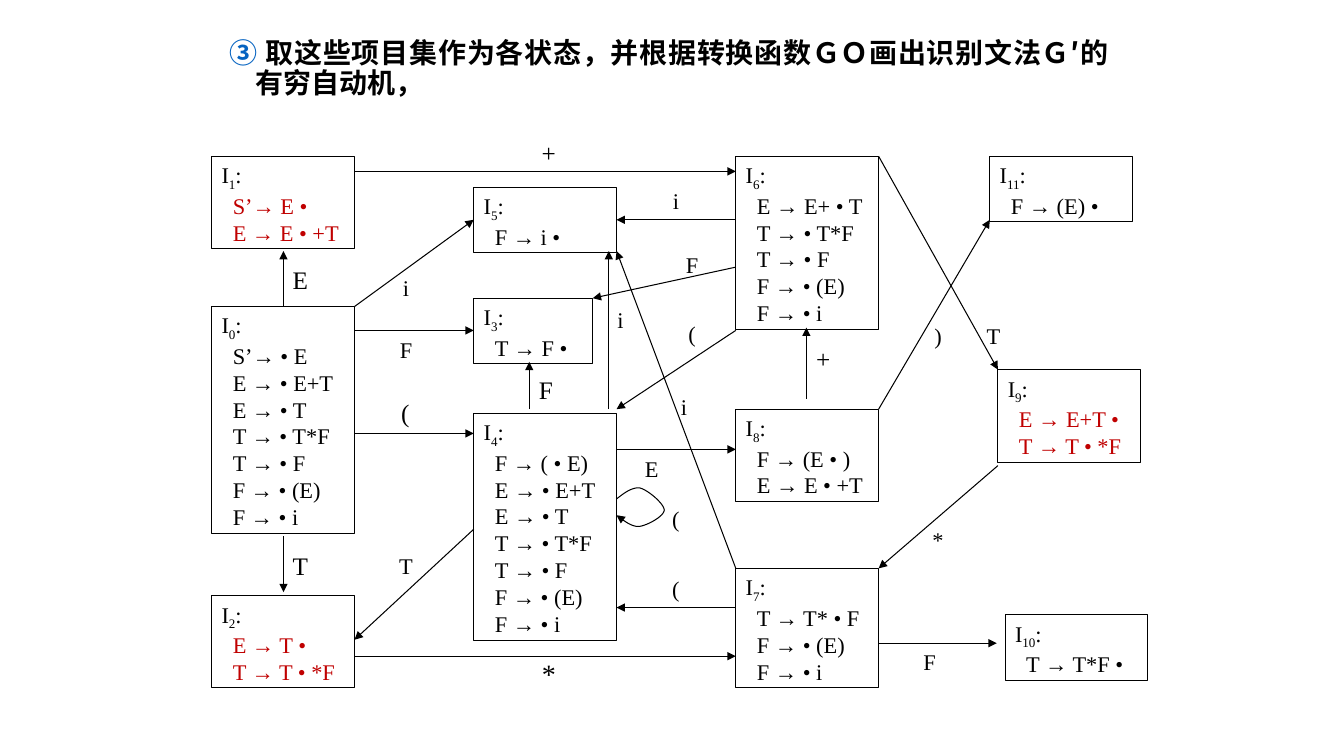
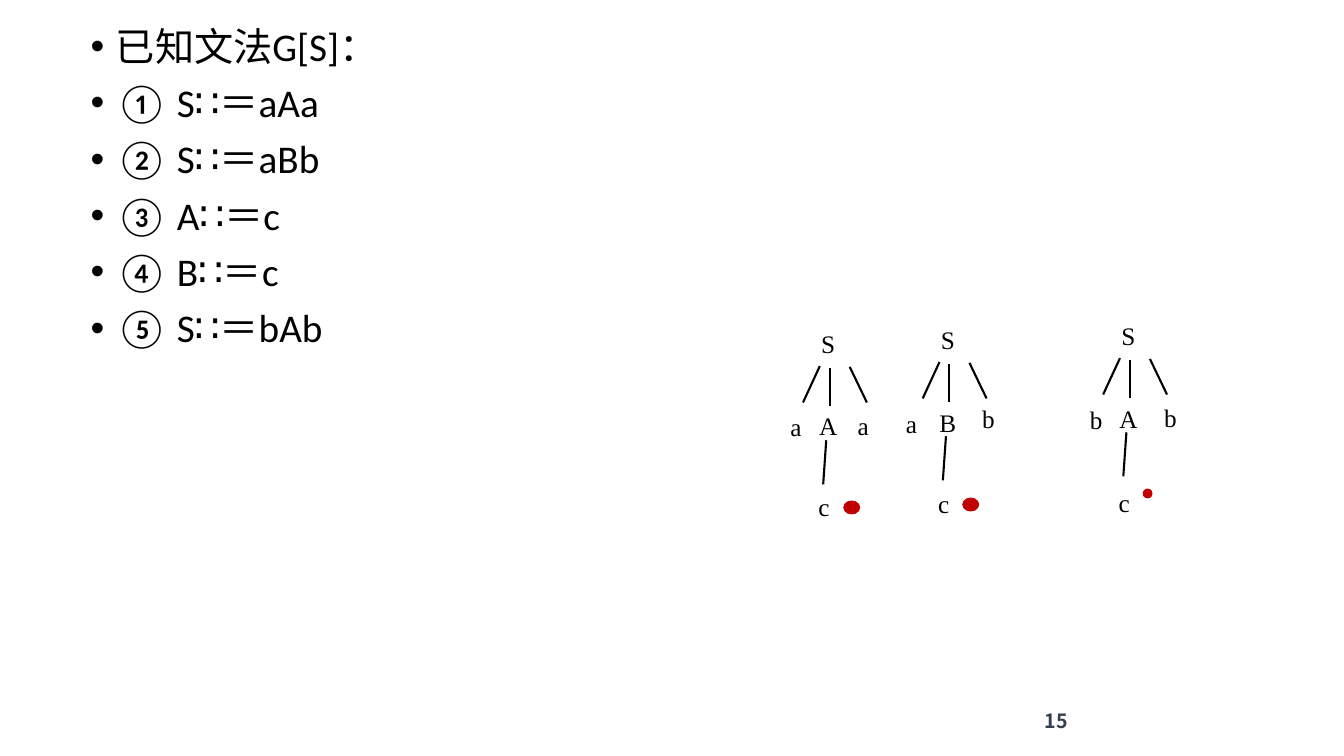
from lxml import etree
from pptx import Presentation
from pptx.dml.color import RGBColor
from pptx.enum.shapes import MSO_CONNECTOR, MSO_SHAPE
from pptx.enum.text import MSO_ANCHOR, MSO_AUTO_SIZE, PP_ALIGN
from pptx.oxml.ns import qn
from pptx.util import Pt

LINE = MSO_CONNECTOR.STRAIGHT
RECT, OVAL = MSO_SHAPE.RECTANGLE, MSO_SHAPE.OVAL
TOP, MID = MSO_ANCHOR.TOP, MSO_ANCHOR.MIDDLE
LEFT, RIGHT = PP_ALIGN.LEFT, PP_ALIGN.RIGHT
CENTER, JUST = PP_ALIGN.CENTER, PP_ALIGN.JUSTIFY


class Theme:
    ink = RGBColor(0, 0, 0)
    red = RGBColor(0xC0, 0, 0)
    blue = RGBColor(0x05, 0x63, 0xC1)
    slate = RGBColor(0x33, 0x3F, 0x50)
    serif, sans, cjk = "Times New Roman", "Calibri", "Noto Sans CJK SC"
    head, item, node, mark, page = 20, 28, 18, 16, 14
    thin, thick = 0.75, 1.5


# Content: heading and automaton
MARK = "③ "
HEAD = "取这些项目集作为各状态，并根据转换函数ＧＯ画出识别文法Ｇ′的有穷自动机，"

WIDE = 102
L = [151.2 + 187.2 * col for col in range(4)]
R = [x + WIDE for x in L]

# State: number, left, top, width, colour of items, items
STATES = [
    (0, L[0], 218.9, WIDE, Theme.ink,
     ["S’→ • E", "E → • E+T", "E → • T", "T → • T*F", "T → • F",
      "F → • (E)", "F → • i"]),
    (1, L[0], 111.6, WIDE, Theme.red, ["S’→ E •", "E → E • +T"]),
    (2, L[0], 425.5, WIDE, Theme.red, ["E → T •", "T → T • *F"]),
    (3, L[1], 213.1, 85, Theme.ink, ["T → F •"]),
    (4, L[1], 295.2, WIDE, Theme.ink,
     ["F → ( • E)", "E → • E+T", "E → • T", "T → • T*F", "T → • F",
      "F → • (E)", "F → • i"]),
    (5, L[1], 133.9, WIDE, Theme.ink, ["F → i •"]),
    (6, L[2], 111.6, WIDE, Theme.ink,
     ["E → E+ • T", "T → • T*F", "T → • F", "F → • (E)", "F → • i"]),
    (7, L[2], 406.1, WIDE, Theme.ink,
     ["T → T* • F", "F → • (E)", "F → • i"]),
    (8, L[2], 292.3, WIDE, Theme.ink, ["F → (E • )", "E → E • +T"]),
    (9, L[3], 264.2, WIDE, Theme.red, ["E → E+T •", "T → T • *F"]),
    (10, 718, 439.2, WIDE, Theme.ink, ["T → T*F •"]),
    (11, 707, 111.6, WIDE, Theme.ink, ["F → (E) •"]),
]

# Edge: from, to, label, centre of label, type size
EDGES = [
    ((202.5, 219), (202.5, 179.3), "E", (214.5, 199.4), 18),
    ((202.5, 383), (202.5, 423), "T", (214.5, 404), 18),
    ((R[0], 309.6), (L[1], 309.6), "(", (289.5, 295), 18),
    ((R[0], 219), (L[1], 157), "i", (290, 205.6), 16),
    ((R[0], 236), (L[1], 236), "F", (290, 249.5), 16),
    ((R[0], 122.4), (L[2], 122.4), "+", (392, 108.7), 18),
    ((L[2], 157), (R[1], 157), "i", (482.8, 143.6), 16),
    ((L[1], 378), (R[0], 457), "T", (290, 404.3), 16),
    ((R[0], 468.7), (L[2], 468.7), "*", (392, 481.3), 20),
    ((434.9, 292.3), (434.9, 179.3), "i", (443.2, 228.6), 16),
    ((576, 285), (576, 234), "+", (588, 256.3), 18),
    ((R[1], 321), (L[2], 321), "E", (465.5, 334.4), 16),
    ((L[2], 406), (R[1], 179.3), "i", (488.5, 290.5), 16),
    ((L[2], 434), (R[1], 434), "(", (482.8, 420.8), 16),
    ((R[2], 292.3), (707, 157), ")", (670, 240), 16),
    ((L[3], 332.6), (R[2], 406), "*", (670, 385.6), 16),
    ((R[2], 111.6), (L[3], 264), "T", (709.6, 240), 16),
    ((R[2], 459.4), (712, 459.4), "F", (664, 472.7), 16),
    ((L[2], 236), (R[1], 292.3), "(", (494.3, 238), 16),
    ((378, 292.3), (378, 258.5), "F", (390, 278), 18),
    ((L[2], 190.8), (423.4, 213), "F", (494.3, 189), 16),
]

# Loop on state 4: start, then Bézier triples
LOOP = [(440.4, 356.4), (446, 352), (451.4, 348), (457, 348.5),
        (463, 350), (474.5, 360), (474.5, 364.3),
        (474.5, 368.6), (463, 375), (457, 376),
        (451.4, 376.6), (446, 372.2), (440.4, 368)]
TURN = ("(", (482.8, 370.4), 16)

# Content: grammar and trees
RULES = ["已知文法G[S]：", "① S∷＝aAa", "② S∷＝aBb", "③ A∷＝c",
         "④ B∷＝c", "⑤ S∷＝bAb"]
PAGE = "15"

# Tree: root centre, nodes (text, dx, dy), dot (dx, dy, width, height)
TREES = [
    ((591.6, 245.5),
     [("S", 0, 0), ("a", -23, 59), ("A", 0, 58.5), ("a", 25, 58.3),
      ("c", -3, 116.6)], (16.8, 117, 11.5, 9.4)),
    ((677.1, 242.6),
     [("S", 0, 0), ("a", -26, 60), ("B", 0, 59), ("b", 29, 56),
      ("c", -3, 117.4)], (16.3, 117.8, 11.5, 9.4)),
    ((806, 239.8),
     [("S", 0, 0), ("b", -23, 59.8), ("A", 0, 59), ("b", 30, 58.3),
      ("c", -3, 119.5)], (13.7, 112.7, 6.5, 6.5)),
]
TWIGS = [((-6, 16), (-18, 42)), ((1, 17.4), (1, 44.6)),
         ((15.4, 16.6), (27.6, 42)), ((-1.4, 69), (-3.6, 100.5))]


# Shared helpers
def style(para, size, face, tint=Theme.ink, bold=False, align=LEFT):
    para.alignment = align
    font = para.font
    font.size, font.name, font.bold = Pt(size), face, bold
    font.color.rgb = tint


def indent(para, left, first=0):
    props = para._p.get_or_add_pPr()
    props.set("marL", str(Pt(left)))
    props.set("indent", str(Pt(first)))


def place(shape, x, y, w, h):
    shape.left, shape.top = Pt(x), Pt(y)
    shape.width, shape.height = Pt(w), Pt(h)


def frame(shape, anchor=TOP):
    text = shape.text_frame
    text.word_wrap = True
    text.auto_size = MSO_AUTO_SIZE.NONE
    text.vertical_anchor = anchor
    return text


def label(slide, text, mid, size):
    w, h = 28, size * 1.2 + 7.2
    box = slide.shapes.add_textbox(
        Pt(mid[0] - w / 2), Pt(mid[1] - h / 2), Pt(w), Pt(h))
    para = frame(box).paragraphs[0]
    para.text = text
    style(para, size, Theme.serif, align=CENTER)


def stroke(shape, width, arrow=False):
    shape.line.color.rgb = Theme.ink
    shape.line.width = Pt(width)
    if arrow:
        tail = etree.SubElement(shape.line._get_or_add_ln(), qn("a:tailEnd"))
        tail.set("type", "triangle")


def link(slide, start, end, width, arrow=False):
    line = slide.shapes.add_connector(LINE, *map(Pt, (*start, *end)))
    stroke(line, width, arrow)
    etree.SubElement(line._element.spPr, qn("a:effectLst"))


# Automaton parts
def state(slide, num, x, y, w, tint, items):
    h = 8 + 19.3 * (len(items) + 1)
    box = slide.shapes.add_shape(RECT, Pt(x), Pt(y), Pt(w), Pt(h))
    box.shadow.inherit = False
    box.fill.background()
    stroke(box, Theme.thin)
    text = frame(box)
    name = text.paragraphs[0]
    for part in ("I", str(num), ":"):
        name.add_run().text = part
    name.runs[1]._r.get_or_add_rPr().set("baseline", "-25000")
    style(name, Theme.mark, Theme.serif)
    for item in items:
        para = text.add_paragraph()
        para.text = item
        indent(para, 8)
        style(para, Theme.mark, Theme.serif, tint)


def curve(pts, steps=12):
    for i in range(0, len(pts) - 1, 3):
        for n in range(1, steps + 1):
            t = n / steps
            u = 1 - t
            parts = (u ** 3, 3 * u * u * t, 3 * u * t * t, t ** 3)
            yield tuple(Pt(sum(k * p[axis] for k, p in
                               zip(parts, pts[i:i + 4])))
                        for axis in (0, 1))


def loop(slide):
    path = slide.shapes.build_freeform(*map(Pt, LOOP[0]))
    path.add_line_segments(list(curve(LOOP)), close=False)
    shape = path.convert_to_shape()
    shape.shadow.inherit = False
    shape.fill.background()
    stroke(shape, Theme.thin, True)
    label(slide, *TURN)


def machine(deck):
    slide = deck.slides.add_slide(deck.slide_layouts[5])
    title = slide.shapes.title
    place(title, 157, 24.5, 642, 58.3)
    para = frame(title).paragraphs[0]
    for part in (MARK, HEAD):
        para.add_run().text = part
    indent(para, 18, -18)
    para.line_spacing = 0.9
    style(para, Theme.head, Theme.cjk, bold=True, align=JUST)
    para.runs[0].font.color.rgb = Theme.blue
    for row in STATES:
        state(slide, *row)
    for start, end, text, mid, size in EDGES:
        link(slide, start, end, Theme.thin, True)
        label(slide, text, mid, size)
    loop(slide)


# Grammar parts
def tree(slide, root, nodes, dot):
    def at(dx, dy):
        return root[0] + dx, root[1] + dy

    for start, end in TWIGS:
        link(slide, at(*start), at(*end), Theme.thick)
    for text, dx, dy in nodes:
        label(slide, text, at(dx, dy), Theme.node)
    dx, dy, w, h = dot
    x, y = at(dx - w / 2, dy - h / 2)
    spot = slide.shapes.add_shape(OVAL, Pt(x), Pt(y), Pt(w), Pt(h))
    spot.shadow.inherit = False
    spot.fill.solid()
    spot.fill.fore_color.rgb = spot.line.color.rgb = Theme.red
    spot.line.width = Pt(0.5)


def grammar(deck):
    slide = deck.slides.add_slide(deck.slide_layouts[1])
    title = slide.shapes.title._element
    title.getparent().remove(title)
    body = slide.placeholders[1]
    place(body, 57.6, 15.8, 264, 343)
    text = frame(body)
    for i, rule in enumerate(RULES):
        para = text.add_paragraph() if i else text.paragraphs[0]
        para.text = rule
        indent(para, 18, -18)
        para.line_spacing = 0.9
        para.space_before = Pt(10 if i else 0)
        style(para, Theme.item, Theme.sans)
    for row in TREES:
        tree(slide, *row)
    box = slide.shapes.add_textbox(Pt(675.4), Pt(500.4), Pt(94.3), Pt(28.8))
    para = frame(box, MID).paragraphs[0]
    para.text = PAGE
    style(para, Theme.page, Theme.cjk, Theme.slate, True, RIGHT)


def main():
    deck = Presentation()
    deck.slide_width, deck.slide_height = Pt(960), Pt(540)
    machine(deck)
    grammar(deck)
    deck.save("out.pptx")


if __name__ == "__main__":
    main()
